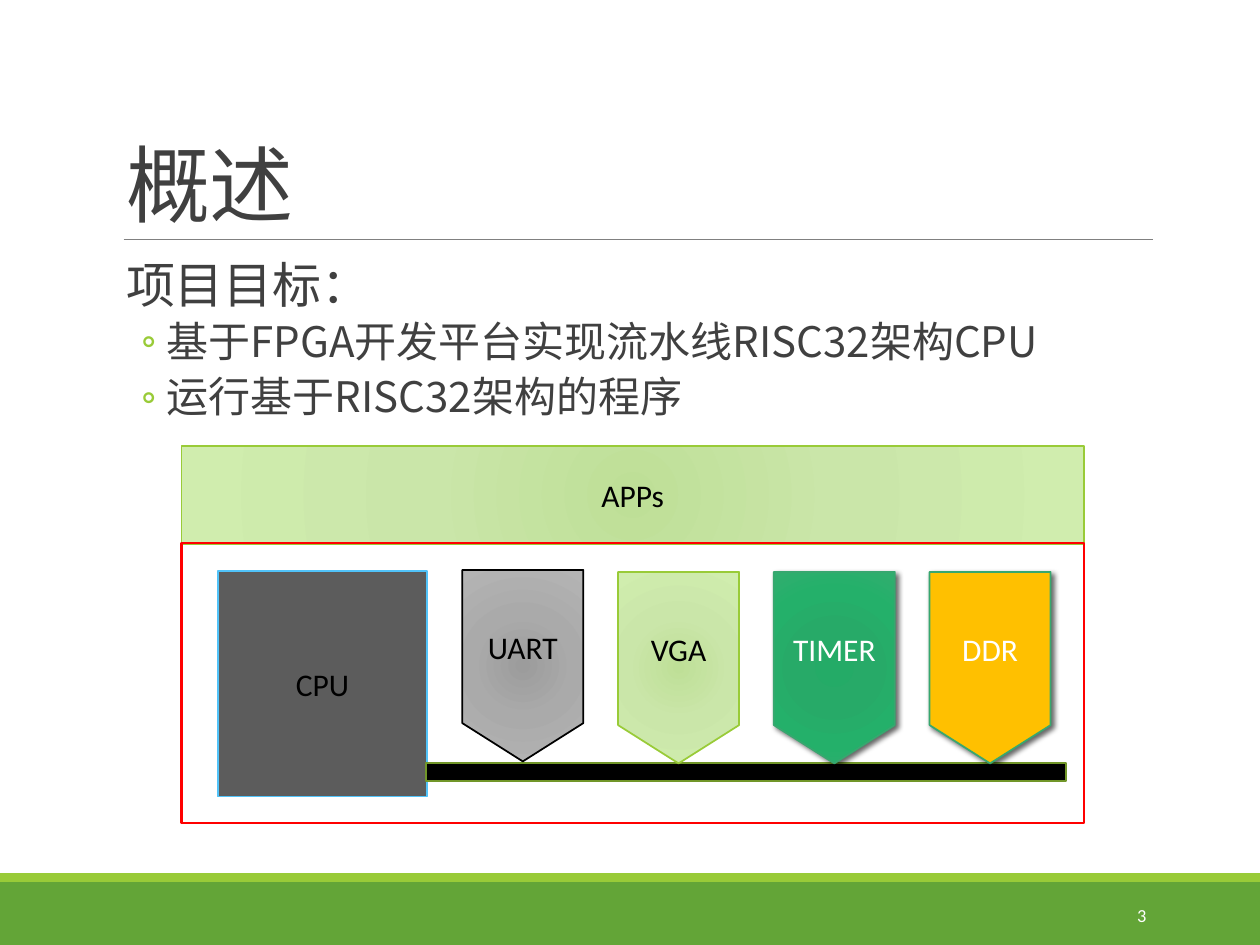
from lxml import etree
from pptx import Presentation
from pptx.dml.color import RGBColor
from pptx.enum.shapes import MSO_CONNECTOR, MSO_SHAPE as Preset
from pptx.enum.text import MSO_ANCHOR as Anchor, MSO_AUTO_SIZE, PP_ALIGN as Align
from pptx.oxml import parse_xml
from pptx.oxml.ns import nsdecls, qn
from pptx.util import Cm, Pt

CJK = "Noto Sans CJK SC"
GREEN, LIME, DARK, BLACK, WHITE = "63A537", "99CB38", "404040", "000000", "FFFFFF"
LIME_FADE = [(0, "BEDF97"), (45, "CAE6A9"), (100, "D0EDAE")]
GREY_FADE = [(0, "9C9C9C"), (45, "AAAAAA"), (100, "B4B4B4")]
TEAL_FADE = [(0, "24AB67"), (34, "27AA68"), (70, "24B06A"), (100, "31AD6F")]


def color(target, value):
    target.rgb = RGBColor.from_string(value)


def box(*lengths):
    return [Cm(length) for length in lengths]


def place(shape, *lengths):
    shape.left, shape.top, shape.width, shape.height = box(*lengths)


def write(paragraph, text, size=18, font="Calibri", fill=BLACK, align=Align.CENTER,
          line=None, before=0, after=0, tracking=0):
    paragraph.alignment = align
    paragraph.space_before, paragraph.space_after = Pt(before), Pt(after)
    if line:
        paragraph.line_spacing = line
    run = paragraph.add_run()
    run.text = text
    run.font.size, run.font.name = Pt(size), font
    color(run.font.color, fill)
    properties = run._r.get_or_add_rPr()
    etree.SubElement(properties, qn("a:ea"), typeface=CJK)
    if tracking:
        properties.set("spc", str(int(tracking * 100)))


def add_bullet(paragraph, character, margin, hanging):
    properties = paragraph._p.get_or_add_pPr()
    properties.set("marL", str(Cm(margin)))
    properties.set("indent", str(-Cm(hanging)))
    bullet_color = etree.SubElement(properties, qn("a:buClr"))
    etree.SubElement(bullet_color, qn("a:srgbClr"), val=LIME)
    etree.SubElement(properties, qn("a:buFont"), typeface="Calibri")
    etree.SubElement(properties, qn("a:buChar"), char=character)


def radial_fill(shape, stops):
    shape.fill.background()
    stop_xml = "".join(f'<a:gs pos="{position * 1000}"><a:srgbClr val="{value}"/></a:gs>'
                       for position, value in stops)
    gradient = parse_xml(
        f'<a:gradFill {nsdecls("a")} rotWithShape="1"><a:gsLst>{stop_xml}</a:gsLst>'
        '<a:path path="circle"><a:fillToRect l="100000" t="100000" r="100000" b="100000"/>'
        '</a:path></a:gradFill>')
    properties = shape._element.spPr
    properties.replace(properties.find(qn("a:noFill")), gradient)


def drop_shadow(shape):
    effects = shape._element.spPr.find(qn("a:effectLst"))
    effects.append(parse_xml(
        f'<a:outerShdw {nsdecls("a")} blurRad="{Pt(3)}" dist="{Pt(2)}" dir="2700000" '
        'rotWithShape="0"><a:srgbClr val="000000"><a:alpha val="60000"/></a:srgbClr>'
        '</a:outerShdw>'))


def add_block(shapes, lengths, fill=None, line=None, width=1, text="", text_fill=BLACK,
              preset=Preset.RECTANGLE, shadow=False):
    shape = shapes.add_shape(preset, *box(*lengths))
    shape.shadow.inherit = False
    if isinstance(fill, list):
        radial_fill(shape, fill)
    elif fill:
        shape.fill.solid()
        color(shape.fill.fore_color, fill)
    else:
        shape.fill.background()
    if line:
        color(shape.line.color, line)
        shape.line.width = Pt(width)
    else:
        shape.line.fill.background()
    if shadow:
        drop_shadow(shape)
    if text:
        shape.text_frame.vertical_anchor = Anchor.MIDDLE
        write(shape.text_frame.paragraphs[0], text, fill=text_fill)
    return shape


def add_theme(slide):
    add_block(slide.shapes, (0, 17.78, 25.4, 1.27), GREEN)
    add_block(slide.shapes, (0, 17.6, 25.4, 0.18), LIME)
    rule = slide.shapes.add_connector(MSO_CONNECTOR.STRAIGHT, *box(2.49, 4.83, 23.24, 4.83))
    color(rule.line.color, "808080")
    rule.line.width = Pt(0.5)
    etree.SubElement(rule._element.spPr, qn("a:effectLst"))


def fill_title(title):
    place(title, 2.29, 0.79, 20.96, 4.04)
    frame = title.text_frame
    frame.auto_size, frame.vertical_anchor = MSO_AUTO_SIZE.NONE, Anchor.BOTTOM
    write(frame.paragraphs[0], "概述", size=48, fill=DARK, align=Align.LEFT, line=0.85,
          tracking=-0.5)


def fill_goals(body):
    place(body, 2.29, 5.13, 20.96, 11.18)
    frame = body.text_frame
    frame.auto_size, frame.vertical_anchor = MSO_AUTO_SIZE.NONE, Anchor.TOP
    frame.margin_left = frame.margin_right = 0
    style = dict(font=CJK, fill=DARK, align=Align.LEFT, line=0.9)
    heading = frame.paragraphs[0]
    write(heading, "项目目标：", size=28, before=12, after=2, **style)
    add_bullet(heading, " ", 0.25, 0.25)
    for goal in ("基于FPGA开发平台实现流水线RISC32架构CPU", "运行基于RISC32架构的程序"):
        paragraph = frame.add_paragraph()
        paragraph.level = 1
        write(paragraph, goal, size=24, before=2, after=4, **style)
        add_bullet(paragraph, "◦", 1.07, 0.51)


def add_architecture(slide):
    shapes = slide.shapes.add_group_shape().shapes
    # Software layer, board outline, processor and bus
    add_block(shapes, (3.66, 8.99, 18.19, 1.98), LIME_FADE, LIME, text="APPs")
    add_block(shapes, (3.66, 10.95, 18.19, 5.64), line="FF0000", width=1.25)
    add_block(shapes, (4.39, 11.51, 4.22, 4.55), "5C5C5C", "51C3F9", text="CPU")
    add_block(shapes, (8.59, 15.39, 12.9, 0.36), BLACK, "719629", 1.25)
    # Peripherals standing on the bus
    peripherals = [
        ("UART", 11.49, GREY_FADE, BLACK, BLACK, False),
        ("VGA", 11.53, LIME_FADE, LIME, BLACK, False),
        ("TIMER", 11.53, TEAL_FADE, "37A76F", WHITE, True),
        ("DDR", 11.53, "FFC000", "37A76F", WHITE, True),
    ]
    for index, (name, top, fill, line, text_fill, shadow) in enumerate(peripherals):
        add_block(shapes, (9.32 + 3.14 * index, top, 2.44, 3.86), fill, line, text=name,
                  text_fill=text_fill, preset=Preset.FLOWCHART_OFFPAGE_CONNECTOR,
                  shadow=shadow)


def add_page_number(slide):
    frame = slide.shapes.add_textbox(*box(20.62, 17.93, 2.74, 1.02)).text_frame
    frame.word_wrap, frame.vertical_anchor = True, Anchor.MIDDLE
    write(frame.paragraphs[0], "3", size=10.5, fill=WHITE, align=Align.RIGHT)


def main():
    presentation = Presentation()
    presentation.slide_width, presentation.slide_height = box(25.4, 19.05)
    slide = presentation.slides.add_slide(presentation.slide_layouts[1])
    add_theme(slide)
    fill_title(slide.shapes.title)
    fill_goals(slide.placeholders[1])
    add_architecture(slide)
    add_page_number(slide)
    presentation.save("out.pptx")


main()
